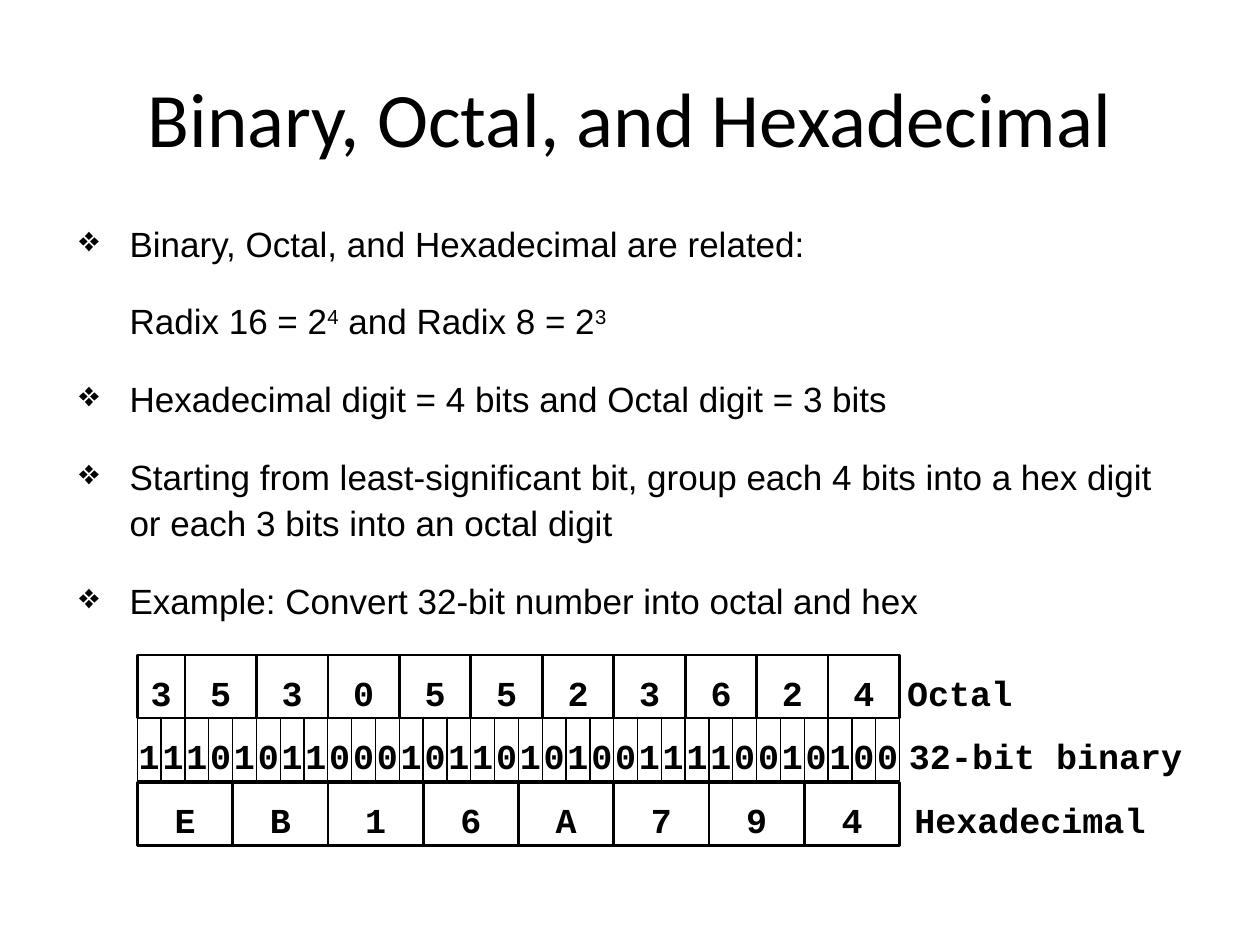
from lxml.etree import SubElement
from pptx import Presentation
from pptx.dml.color import RGBColor
from pptx.enum.shapes import MSO_SHAPE
from pptx.enum.text import MSO_ANCHOR, PP_ALIGN
from pptx.oxml.ns import qn
from pptx.util import Inches, Pt

# Content
TITLE = "Binary, Octal, and Hexadecimal"
# (has bullet, [(text, is superscript)])
POINTS = [
    (True, [("Binary, Octal, and Hexadecimal are related:", False)]),
    (False, [("Radix 16 = 2", False), ("4", True),
             (" and Radix 8 = 2", False), ("3", True)]),
    (True, [("Hexadecimal digit = 4 bits and Octal digit = 3 bits", False)]),
    (True, [("Starting from least-significant bit, group each 4 bits into a "
             "hex digit or each 3 bits into an octal digit", False)]),
    (True, [("Example: Convert 32-bit number into octal and hex", False)]),
]
# label, digits, bits per digit, top, border, label width, label alignment
NUMBER_ROWS = [
    ("Hexadecimal", "EB16A794", 4, 6.21, 1.5, 1.95, PP_ALIGN.CENTER),
    ("32-bit binary", "11101011000101101010011110010100", 1, 5.7, 0.75, 2.2,
     PP_ALIGN.CENTER),
    ("Octal", "35305523624", 3, 5.2, 1.5, 1.95, PP_ALIGN.LEFT),
]

# Layout and formats
BIT_COUNT = 32
ROW_LEFT, ROW_RIGHT, ROW_HEIGHT = 1.09, 7.14, 0.5
BIT_WIDTH = (ROW_RIGHT - ROW_LEFT) / BIT_COUNT
LABEL_LEFT = 7.2
INK = "000000"
TITLE_FONT = {"name": "Calibri", "size": Pt(44)}
BODY_FONT = {"name": "Arial", "size": Pt(20)}
DIGIT_FONT = {"name": "Courier New", "size": Pt(20), "bold": True}
BODY_FRAME = {"word_wrap": True, "margin_left": Inches(0.1),
              "margin_right": Inches(0.1), "margin_top": Inches(0.15),
              "margin_bottom": Inches(0.15)}
# The top margin lowers the digits slightly within their cells
DIGIT_FRAME = {"word_wrap": False, "vertical_anchor": MSO_ANCHOR.MIDDLE,
               "margin_left": 0, "margin_right": 0,
               "margin_top": Inches(0.09), "margin_bottom": 0}


def apply(target, values):
    for key, value in values.items():
        setattr(target, key, value)


def set_color(color_format, hex_value):
    color_format.rgb = RGBColor.from_string(hex_value)


def set_font(font, values):
    apply(font, values)
    set_color(font.color, INK)


def fill_digit_text(shape, text, align):
    frame = shape.text_frame
    apply(frame, DIGIT_FRAME)
    paragraph = frame.paragraphs[0]
    paragraph.text = text
    paragraph.alignment = align
    set_font(paragraph.runs[0].font, DIGIT_FONT)


def add_cell(slide, text, left, top, width, border):
    cell = slide.shapes.add_shape(MSO_SHAPE.RECTANGLE, Inches(left),
                                  Inches(top), Inches(width),
                                  Inches(ROW_HEIGHT))
    cell.shadow.inherit = False
    cell.fill.background()
    set_color(cell.line.color, INK)
    cell.line.width = Pt(border)
    fill_digit_text(cell, text, PP_ALIGN.CENTER)


def add_title(slide):
    title = slide.shapes.title
    apply(title, {"left": Inches(0.5), "top": Inches(0.3),
                  "width": Inches(9), "height": Inches(1.25)})
    title.text_frame.text = TITLE
    title.text_frame.vertical_anchor = MSO_ANCHOR.MIDDLE
    paragraph = title.text_frame.paragraphs[0]
    paragraph.alignment = PP_ALIGN.CENTER
    set_font(paragraph.runs[0].font, TITLE_FONT)


def add_points(slide):
    body = slide.shapes.add_textbox(Inches(0.53), Inches(1.58),
                                    Inches(8.94), Inches(3.55))
    frame = body.text_frame
    apply(frame, BODY_FRAME)
    for index, (has_bullet, pieces) in enumerate(POINTS):
        paragraph = frame.add_paragraph() if index else frame.paragraphs[0]
        paragraph.line_spacing = 1.1
        paragraph.space_before = Pt(18 if index else 0)
        properties = paragraph._p.get_or_add_pPr()
        properties.set("marL", str(Inches(0.4)))
        properties.set("indent", str(Inches(-0.4 if has_bullet else 0)))
        if has_bullet:
            SubElement(properties, qn("a:buChar")).set("char", "❖")
        else:
            SubElement(properties, qn("a:buNone"))
        for text, superscript in pieces:
            run = paragraph.add_run()
            run.text = text
            set_font(run.font, BODY_FONT)
            if superscript:
                run._r.get_or_add_rPr().set("baseline", "30000")


def add_number_row(slide, label, digits, bits, top, border, label_width,
                   label_align):
    # Digits are grouped from the right, so the first may hold fewer bits
    first_bits = BIT_COUNT - bits * (len(digits) - 1)
    left = ROW_LEFT
    for index, digit in enumerate(digits):
        width = BIT_WIDTH * (bits if index else first_bits)
        add_cell(slide, digit, left, top, width, border)
        left += width
    caption = slide.shapes.add_textbox(Inches(LABEL_LEFT), Inches(top),
                                       Inches(label_width),
                                       Inches(ROW_HEIGHT))
    fill_digit_text(caption, label, label_align)
    caption.text_frame.word_wrap = True


def main():
    deck = Presentation()
    deck.slide_width, deck.slide_height = Inches(10), Inches(7.5)
    slide = deck.slides.add_slide(deck.slide_layouts[5])
    add_title(slide)
    add_points(slide)
    for row in NUMBER_ROWS:
        add_number_row(slide, *row)
    deck.save("out.pptx")


if __name__ == "__main__":
    main()
